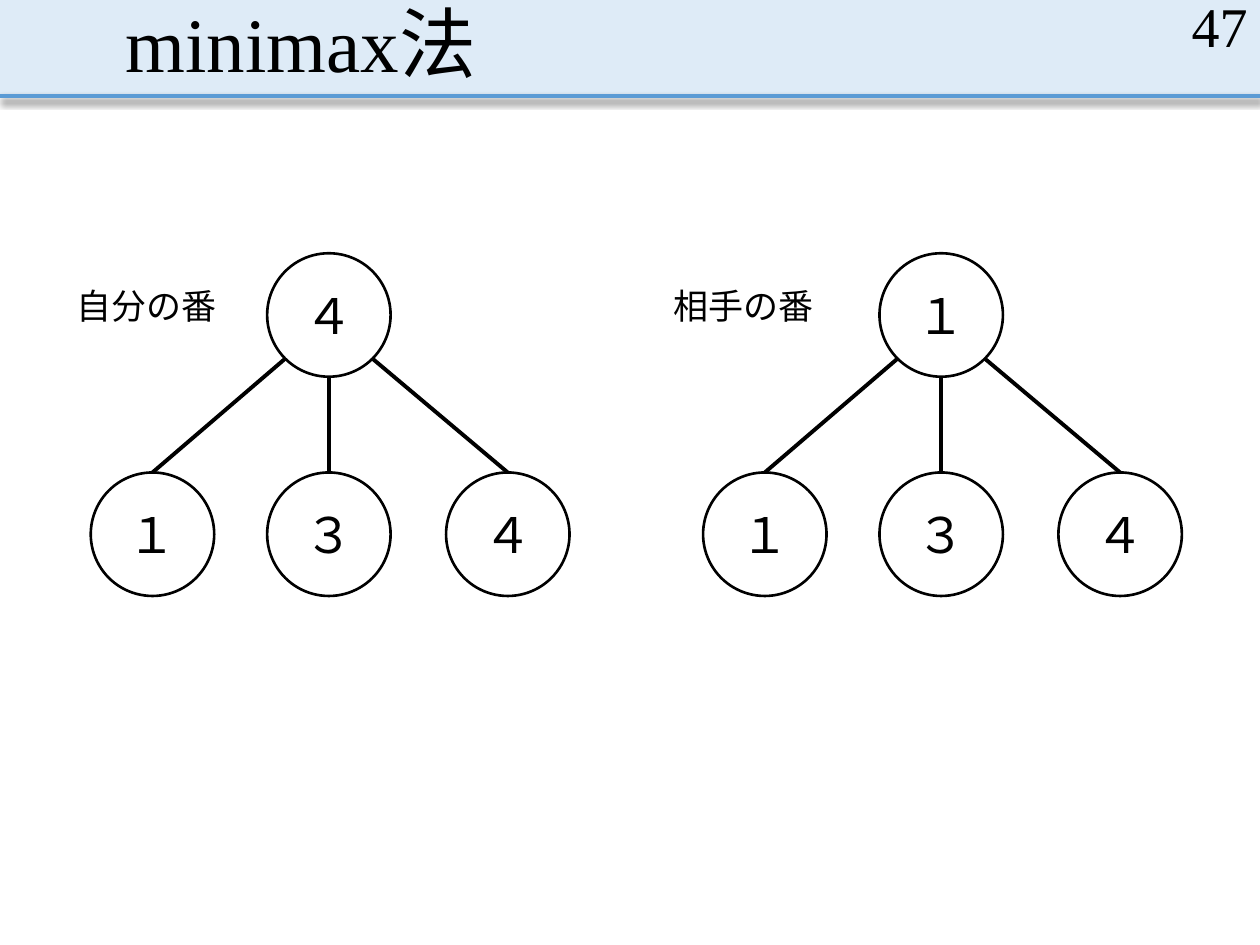
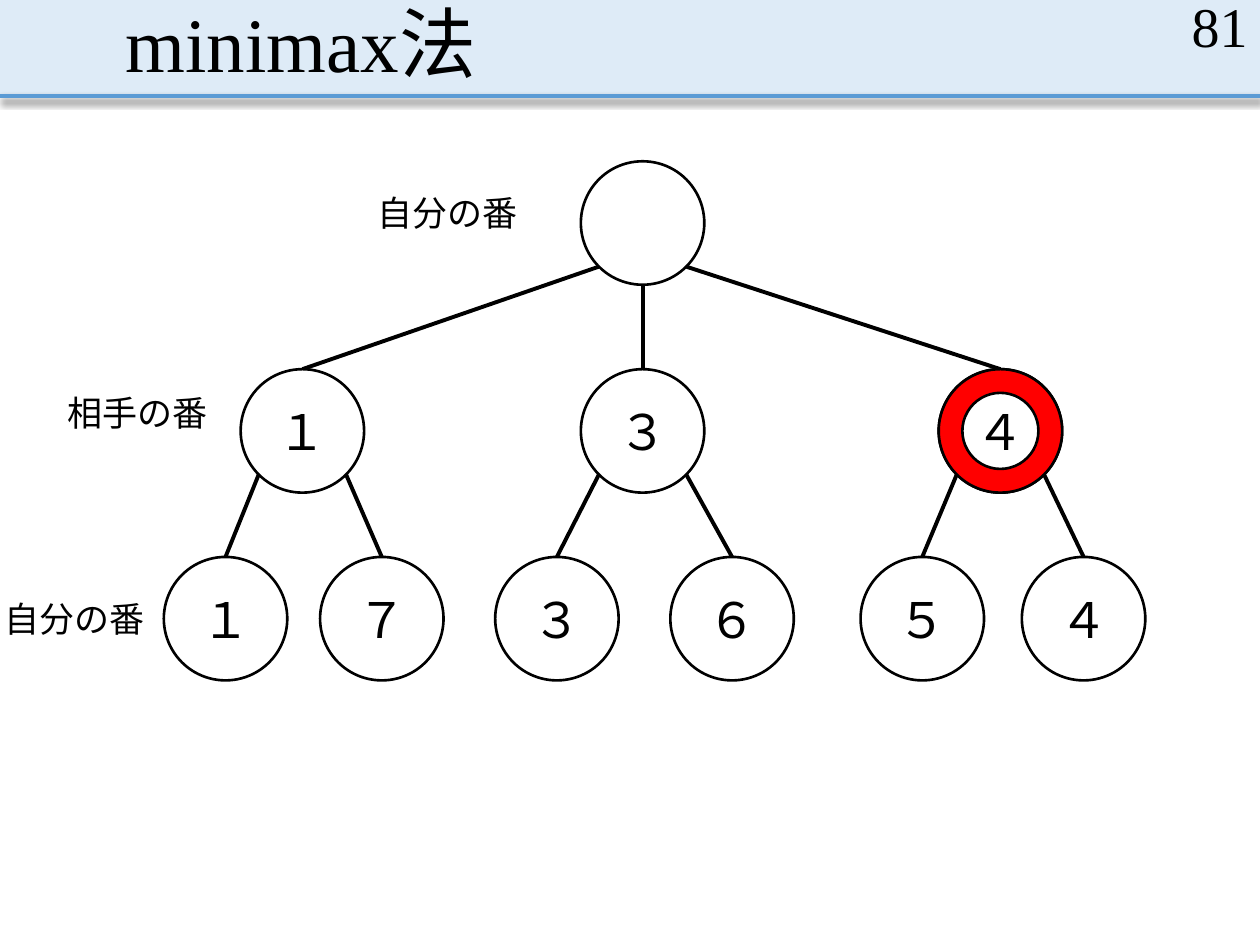
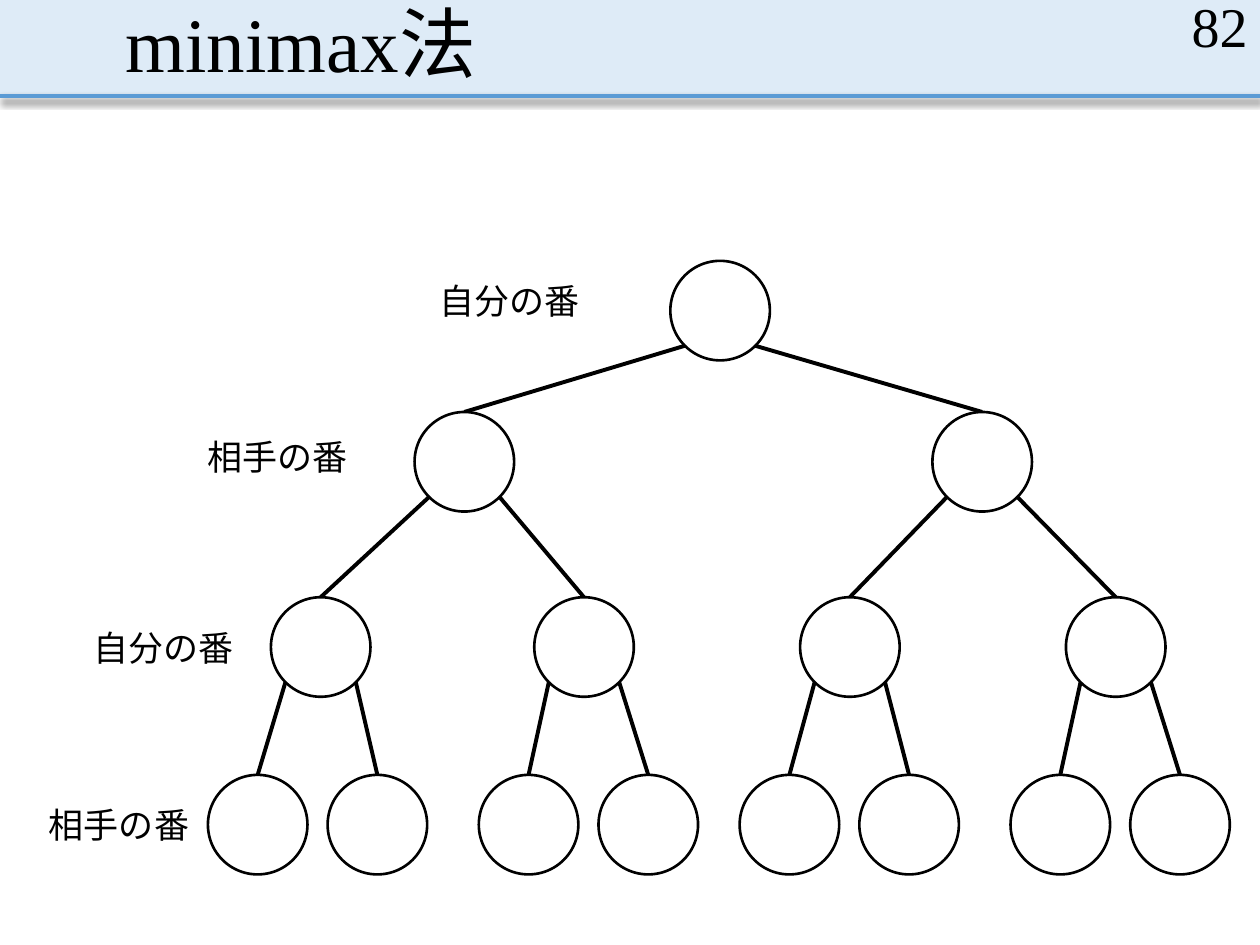
from dataclasses import dataclass
from math import sqrt

from pptx import Presentation
from pptx.dml.color import RGBColor
from pptx.enum.shapes import MSO_CONNECTOR as Link, MSO_SHAPE as Form
from pptx.enum.text import MSO_ANCHOR as Anchor, PP_ALIGN as Align
from pptx.oxml import parse_xml
from pptx.oxml.ns import nsdecls
from pptx.shapes.autoshape import Shape
from pptx.shapes.connector import Connector
from pptx.slide import Slide
from pptx.util import Emu, Pt

SCALE = 9144  # EMU in one px, 100 px to the inch
WIDE, HIGH, BAND = 1000, 750, 76
FONT = "Times New Roman"
BLACK, WHITE, RED = "000000", "FFFFFF", "FF0000"
PALE, BLUE = "DEEBF7", "5B9BD5"
TITLE = "minimax法"
MINE, THEIRS = "自分の番", "相手の番"
SHADE = (
    '<a:outerShdw blurRad="50800" dist="31750" dir="5400000" rotWithShape="0">'
    '<a:srgbClr val="000000"><a:alpha val="47000"/></a:srgbClr></a:outerShdw>'
)


@dataclass
class Node:
    left: int
    mark: str = ""
    kids: tuple["Node", ...] = ()
    ring: bool = False


@dataclass
class Tree:
    root: Node
    rows: tuple[int, ...]
    size: int = 98


@dataclass
class Label:
    text: str
    left: int
    top: int


@dataclass
class Page:
    number: int
    trees: list[Tree]
    labels: list[Label]


def px(size: float) -> Emu:
    return Emu(round(size * SCALE))


def color(code: str) -> RGBColor:
    return RGBColor.from_string(code)


def write(shape: Shape, text: str, size: int, align: Align, anchor: Anchor) -> None:
    frame = shape.text_frame
    frame.word_wrap = True
    frame.vertical_anchor = anchor
    para = frame.paragraphs[0]
    para.text = text
    para.alignment = align
    for run in para.runs:
        run.font.name = FONT
        run.font.size = Pt(size)
        run.font.color.rgb = color(BLACK)


def add_text(slide: Slide, box: tuple[int, int, int, int], text: str, size: int,
             align: Align = Align.LEFT, anchor: Anchor = Anchor.TOP) -> Shape:
    shape = slide.shapes.add_textbox(*map(px, box))
    write(shape, text, size, align, anchor)
    return shape


def add_form(slide: Slide, form: Form, box: tuple[int, int, int, int],
             fill: str, edge: str = "") -> Shape:
    shape = slide.shapes.add_shape(form, *map(px, box))
    shape.shadow.inherit = False
    shape.fill.solid()
    shape.fill.fore_color.rgb = color(fill)
    if edge:
        shape.line.color.rgb = color(edge)
        shape.line.width = Pt(1.5)
    else:
        shape.line.fill.background()
    return shape


def add_line(slide: Slide, start: tuple[float, float], end: tuple[float, float],
             code: str = BLACK, shade: str = "") -> Connector:
    line = slide.shapes.add_connector(Link.STRAIGHT, *map(px, start + end))
    line.line.color.rgb = color(code)
    line.line.width = Pt(2.25)
    effect = f"<a:effectLst {nsdecls('a')}>{shade}</a:effectLst>"
    line._element.spPr.append(parse_xml(effect))
    return line


def add_frame(slide: Slide, number: int) -> None:
    """Draw the band, its rule, the title and the page number."""
    add_form(slide, Form.RECTANGLE, (0, 0, WIDE, BAND), PALE)
    add_line(slide, (0, BAND), (WIDE, BAND), BLUE, SHADE)
    title = add_text(slide, (90, 0, 825, BAND), TITLE, 44, anchor=Anchor.BOTTOM)
    title.text_frame.paragraphs[0].line_spacing = 0.9
    add_text(slide, (775, 0, 225, 40), str(number), 32, Align.RIGHT, Anchor.MIDDLE)


def add_node(slide: Slide, node: Node, rows: tuple[int, ...], size: int) -> None:
    """Draw a node and all below it; edges leave at 45 degrees or straight down."""
    top, *rest = rows
    half = size / 2
    mid = node.left + half
    box = (node.left, top, size, size)
    disc = add_form(slide, Form.OVAL, box, WHITE, BLACK)
    if node.mark:
        write(disc, node.mark, 28, Align.CENTER, Anchor.MIDDLE)
    if node.ring:
        ring = add_form(slide, Form.DONUT, box, RED, BLACK)
        ring.adjustments[0] = 0.192
    last = len(node.kids) - 1
    for i, kid in enumerate(node.kids):
        side = 2 * i / last - 1
        dx = side * half / sqrt(2)
        dy = sqrt(half ** 2 - dx ** 2)
        add_line(slide, (mid + dx, top + half + dy), (kid.left + half, rest[0]))
        add_node(slide, kid, tuple(rest), size)


def small(left: int, mark: str) -> Tree:
    """Make a one-move tree whose root starts at left."""
    kids = (Node(left - 140, "１"), Node(left, "３"), Node(left + 142, "４"))
    return Tree(Node(left, mark, kids), (201, 375))


def twin(left: int, first: int) -> Node:
    """Make a blank node with two blank leaves, the first one at first."""
    return Node(left, kids=(Node(first), Node(first + 95)))


GAME = Node(461, kids=(
    Node(191, "１", (Node(130, "１"), Node(254, "７"))),
    Node(461, "３", (Node(393, "３"), Node(532, "６"))),
    Node(745, "４", (Node(683, "５"), Node(811, "４")), ring=True),
))
DEEP = Node(532, kids=(
    Node(329, kids=(twin(215, 165), twin(424, 380))),
    Node(740, kids=(twin(635, 587), twin(846, 802))),
))
PAGES = [
    Page(47, [small(212, "４"), small(698, "１")],
         [Label(MINE, 51, 221), Label(THEIRS, 525, 221)]),
    Page(81, [Tree(GAME, (128, 293, 442))],
         [Label(MINE, 290, 147), Label(THEIRS, 44, 306), Label(MINE, -6, 469)]),
    Page(82, [Tree(DEEP, (207, 327, 474, 615), 79)],
         [Label(MINE, 339, 217), Label(THEIRS, 155, 341),
          Label(MINE, 64, 492), Label(THEIRS, 29, 633)]),
]


def main() -> None:
    deck = Presentation()
    deck.slide_width, deck.slide_height = px(WIDE), px(HIGH)
    for page in PAGES:
        slide = deck.slides.add_slide(deck.slide_layouts[6])
        add_frame(slide, page.number)
        for tree in page.trees:
            add_node(slide, tree.root, tree.rows, tree.size)
        for label in page.labels:
            add_text(slide, (label.left, label.top, 136, 44), label.text, 20)
    deck.save("out.pptx")


if __name__ == "__main__":
    main()
